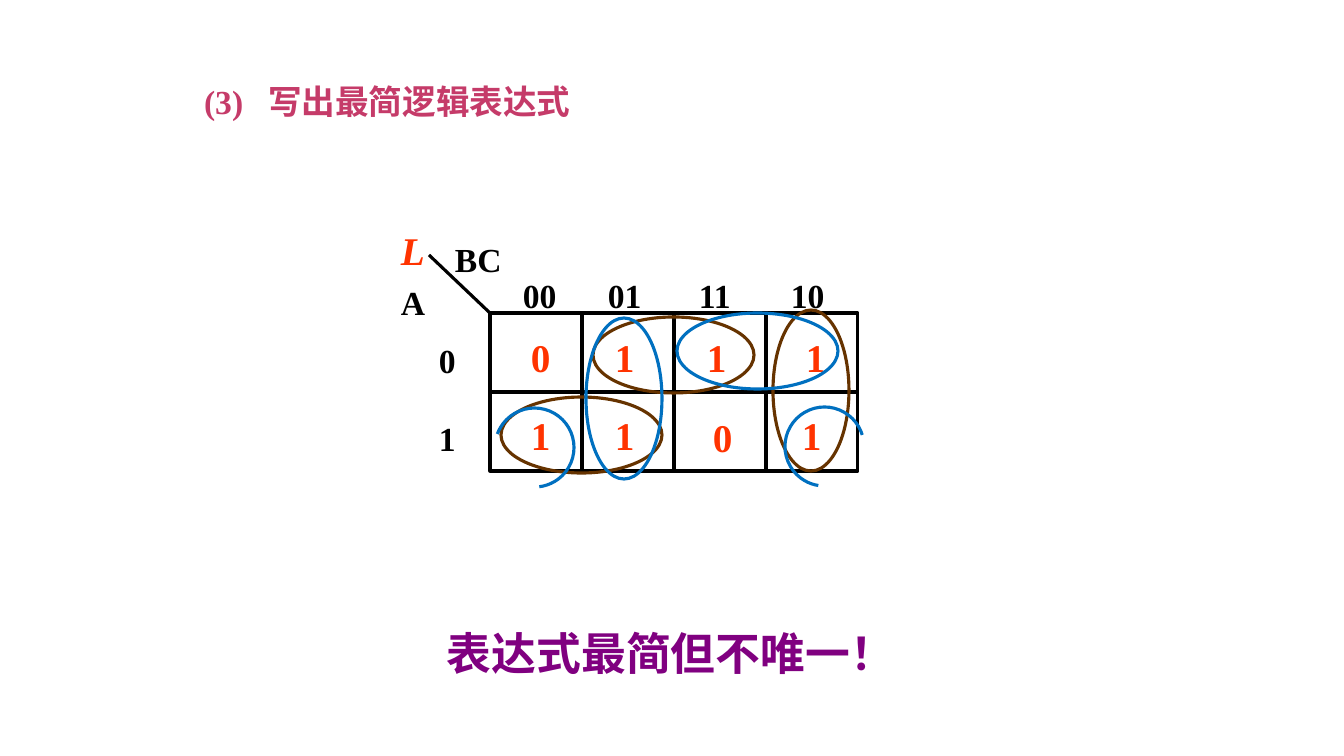
from lxml.etree import SubElement
from pptx import Presentation
from pptx.dml.color import RGBColor
from pptx.enum.shapes import MSO_CONNECTOR, MSO_SHAPE
from pptx.enum.text import MSO_ANCHOR, MSO_AUTO_SIZE, PP_ALIGN
from pptx.oxml.ns import qn
from pptx.util import Emu, Pt

PINK = RGBColor(0xC5, 0x3B, 0x69)
RED = RGBColor(0xFF, 0x33, 0x00)
BROWN = RGBColor(0x66, 0x33, 0x00)
BLUE = RGBColor(0x00, 0x70, 0xC0)
PURPLE = RGBColor(0x80, 0x00, 0x80)
BLACK = RGBColor(0x00, 0x00, 0x00)
SERIF = "Times New Roman"

TITLE = "(3)\t写出最简逻辑表达式"
TITLE_TAB = 64
CONCLUSION = "表达式最简但不唯一！"

# Karnaugh map grid: columns are BC, rows are A
ROWS, COLS = 2, 4
GRID_X, GRID_Y, CELL_W, CELL_H = 490, 313, 92, 79
CORNER_LINE = (490, 313, 429, 255)

# text, left, top, width
AXIS_LABELS = [
    ("A", 391, 277, 92), ("BC", 445, 234, 77),
    ("0", 429, 335, 69), ("1", 429, 413, 69),
    ("00", 513, 270, 69), ("01", 598, 270, 69),
    ("11", 689, 270, 69), ("10", 781, 270, 69),
]
# text, left, top
CELL_VALUES = [
    ("0", 521, 328), ("1", 605, 328), ("1", 697, 328), ("1", 796, 328),
    ("1", 521, 406), ("1", 605, 406), ("0", 703, 408), ("1", 792, 406),
]
# left, top, is upright, colour
LOOP_LONG, LOOP_SHORT = 161, 76
LOOPS = [
    (593, 317, False, BROWN), (773, 310, True, BROWN),
    (501, 397, False, BROWN), (677, 313, False, BLUE),
    (586, 318, True, BLUE),
]
# left, top, start and end angle in degrees: the loop that wraps round the edge
ARC_SIZE = 79
ARCS = [(495, 408, 200, 83), (785, 407, 99, 343)]


def px(n):
    return Emu(round(n * 914400 / 100.8))


def box(x, y, w, h):
    return px(x), px(y), px(w), px(h)


def write(sp, text, size, color, font=SERIF, italic=False):
    tf = sp.text_frame
    tf.word_wrap = True
    tf.auto_size = MSO_AUTO_SIZE.NONE
    tf.vertical_anchor = MSO_ANCHOR.TOP
    tf.text = text
    p = tf.paragraphs[0]
    p.alignment = PP_ALIGN.LEFT
    for r in p.runs:
        f = r.font
        f.name, f.size, f.bold, f.italic = font, Pt(size), True, italic
        f.color.rgb = color
    return p


def add_text(x, y, w, h, *style, **more):
    write(slide.shapes.add_textbox(*box(x, y, w, h)), *style, **more)


def add_outline(kind, x, y, w, h, color):
    sp = slide.shapes.add_shape(kind, *box(x, y, w, h))
    sp.shadow.inherit = False
    sp.fill.background()
    sp.line.color.rgb = color
    sp.line.width = Pt(2.25)
    return sp


prs = Presentation()
prs.slide_width, prs.slide_height = px(1344), px(756)
slide = prs.slides.add_slide(prs.slide_layouts[5])

title = slide.shapes.title
title.left, title.top, title.width, title.height = box(194, 76, 395, 50)
p = write(title, TITLE, 24, PINK)
tabs = SubElement(p._p.get_or_add_pPr(), qn("a:tabLst"))
SubElement(tabs, qn("a:tab"), pos=str(px(TITLE_TAB)), algn="l")

for row in range(ROWS):
    for col in range(COLS):
        add_outline(MSO_SHAPE.RECTANGLE, GRID_X + col * CELL_W,
                    GRID_Y + row * CELL_H, CELL_W, CELL_H, BLACK)

corner = slide.shapes.add_connector(MSO_CONNECTOR.STRAIGHT, *map(px, CORNER_LINE))
corner.line.color.rgb = BLACK
corner.line.width = Pt(2.25)
SubElement(corner._element.spPr, qn("a:effectLst"))

for text, x, y, w in AXIS_LABELS:
    add_text(x, y, w, 50, text, 24, BLACK)
add_text(391, 221, 45, 57, "L", 28, RED, italic=True)
for text, x, y in CELL_VALUES:
    add_text(x, y, 38, 57, text, 28, RED)

for x, y, upright, color in LOOPS:
    w, h = (LOOP_SHORT, LOOP_LONG) if upright else (LOOP_LONG, LOOP_SHORT)
    add_outline(MSO_SHAPE.OVAL, x, y, w, h, color)

for x, y, start, end in ARCS:
    arc = add_outline(MSO_SHAPE.ARC, x, y, ARC_SIZE, ARC_SIZE, BLUE)
    # Angles are stored in 1/60000 degree, adjustments in 1/100000
    arc.adjustments[0] = start * 0.6
    arc.adjustments[1] = end * 0.6

add_text(437, 621, 504, 65, CONCLUSION, 32, PURPLE, font="Arial")

prs.save("out.pptx")
